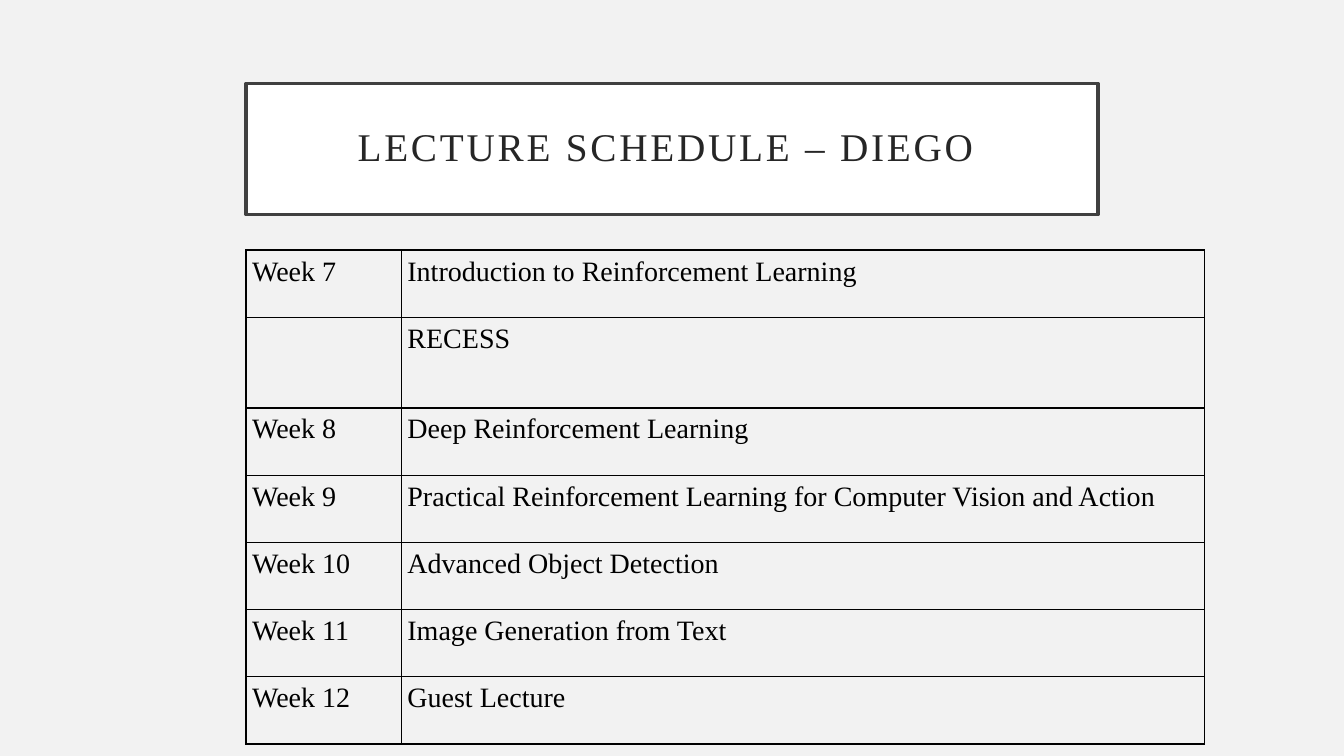
import lxml.etree
import pptx
import pptx.dml.color
import pptx.enum.shapes
import pptx.enum.text
import pptx.oxml.ns
import pptx.util
from dataclasses import dataclass

Inches, Pt = pptx.util.Inches, pptx.util.Pt
qn = pptx.oxml.ns.qn


@dataclass(frozen=True)
class Theme:
    background: str = "F2F2F2"
    panel: str = "FFFFFF"
    frame: str = "404040"
    heading: str = "262626"
    ink: str = "000000"
    font: str = "Times New Roman"
    heading_size: float = 28
    body_size: float = 20
    frame_width: float = 2.5
    rule_width: float = 1


THEME = Theme()
SLIDE_WIDTH, SLIDE_HEIGHT = 13.33, 7.5
LEFT = 2.44
WEEK_SHARE = 0.162
ROW_HEIGHT, RECESS_HEIGHT = 0.667, 0.9

LECTURES = [
    ("Week 7", "Introduction to Reinforcement Learning"),
    ("", "RECESS"),
    ("Week 8", "Deep Reinforcement Learning"),
    ("Week 9", "Practical Reinforcement Learning for Computer Vision and Action"),
    ("Week 10", "Advanced Object Detection"),
    ("Week 11", "Image Generation from Text"),
    ("Week 12", "Guest Lecture"),
]


def rgb(value):
    return pptx.dml.color.RGBColor.from_string(value)


def set_font(paragraph, size, color):
    paragraph.font.name = THEME.font
    paragraph.font.size = Pt(size)
    paragraph.font.color.rgb = rgb(color)


def set_insets(holder, inset):
    holder.margin_left = holder.margin_right = Inches(inset)
    holder.margin_top = holder.margin_bottom = Inches(inset)


def add_heading(slide, left, top, width, height, wording):
    panel = slide.shapes.add_shape(
        pptx.enum.shapes.MSO_SHAPE.RECTANGLE,
        Inches(left), Inches(top), Inches(width), Inches(height))
    panel.shadow.inherit = False
    panel.fill.solid()
    panel.fill.fore_color.rgb = rgb(THEME.panel)
    panel.line.color.rgb = rgb(THEME.frame)
    panel.line.width = Pt(THEME.frame_width)

    frame = panel.text_frame
    frame.word_wrap = True
    frame.vertical_anchor = pptx.enum.text.MSO_ANCHOR.MIDDLE
    set_insets(frame, 0.2)
    heading = frame.paragraphs[0]
    heading.alignment = pptx.enum.text.PP_ALIGN.CENTER
    heading.line_spacing = 0.9
    words = heading.add_run()
    words.text = wording
    set_font(heading, THEME.heading_size, THEME.heading)
    # Letter spacing, in hundredths of a point
    words._r.get_or_add_rPr().set("spc", "200")


def add_borders(cell):
    properties = cell._tc.get_or_add_tcPr()
    for position, side in enumerate(("lnL", "lnR", "lnT", "lnB")):
        border = lxml.etree.Element(qn(f"a:{side}"), w=str(Pt(THEME.rule_width)))
        fill = lxml.etree.SubElement(border, qn("a:solidFill"))
        lxml.etree.SubElement(fill, qn("a:srgbClr"), val=THEME.ink)
        properties.insert(position, border)


def add_schedule(slide, left, top, width, lectures):
    heights = [ROW_HEIGHT if week else RECESS_HEIGHT for week, _ in lectures]
    schedule = slide.shapes.add_table(
        len(lectures), 2, Inches(left), Inches(top),
        Inches(width), Inches(sum(heights))).table
    schedule.first_row = schedule.horz_banding = False
    for column, share in zip(schedule.columns, (WEEK_SHARE, 1 - WEEK_SHARE)):
        column.width = Inches(width * share)

    for row, height, lecture in zip(schedule.rows, heights, lectures):
        row.height = Inches(height)
        for cell, wording in zip(row.cells, lecture):
            cell.fill.background()
            add_borders(cell)
            set_insets(cell, 0.06)
            cell.text = wording
            set_font(cell.text_frame.paragraphs[0], THEME.body_size, THEME.ink)


def main():
    presentation = pptx.Presentation()
    presentation.slide_width = Inches(SLIDE_WIDTH)
    presentation.slide_height = Inches(SLIDE_HEIGHT)
    slide = presentation.slides.add_slide(presentation.slide_layouts[6])
    slide.background.fill.solid()
    slide.background.fill.fore_color.rgb = rgb(THEME.background)

    # Heading, centred across the slide
    add_heading(slide, LEFT, 0.83, SLIDE_WIDTH - 2 * LEFT, 1.3,
                "LECTURE SCHEDULE – DIEGO ")
    # Weekly lectures
    add_schedule(slide, LEFT, 2.48, 9.51, LECTURES)
    presentation.save("out.pptx")


if __name__ == "__main__":
    main()
